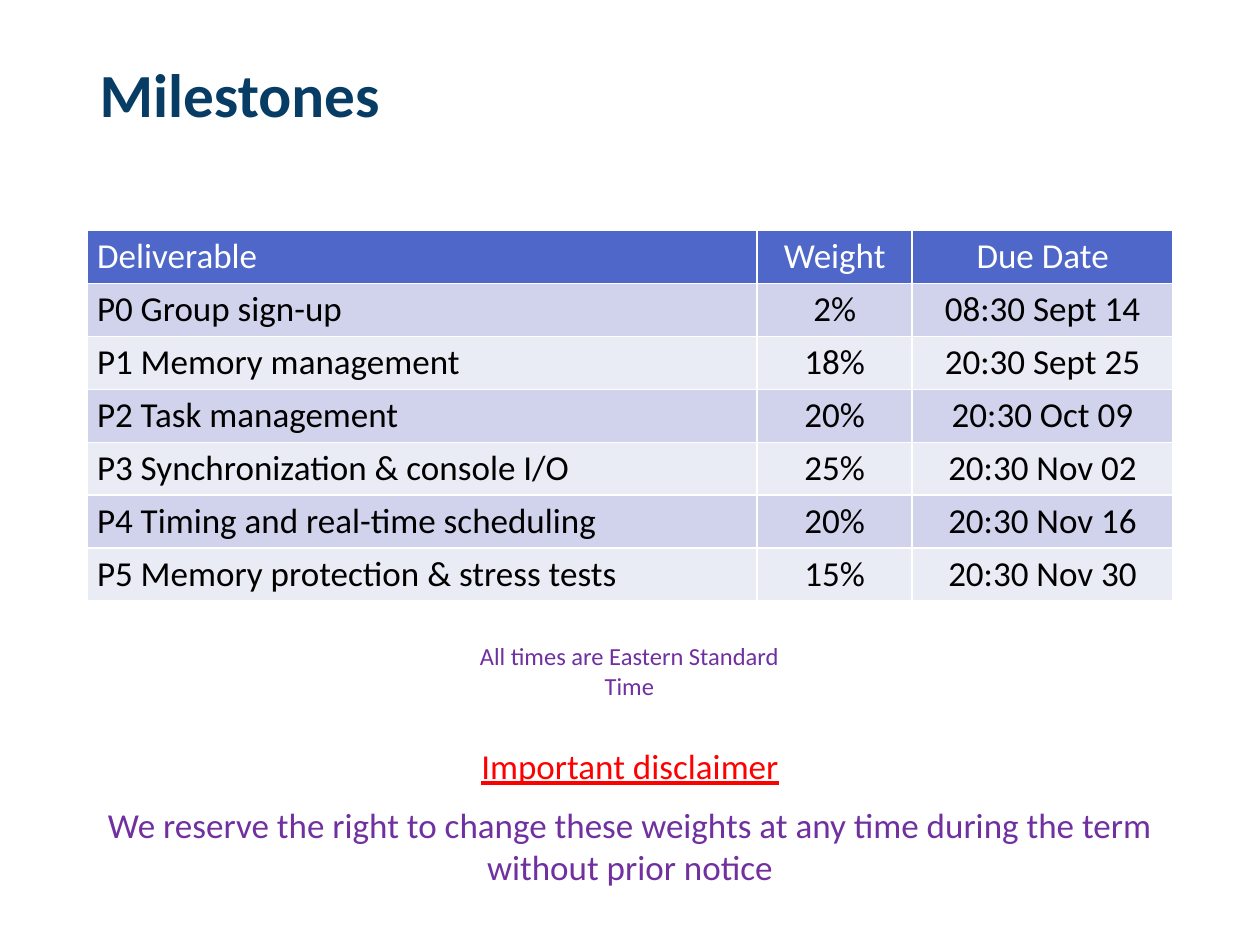
from typing import NamedTuple

from lxml.etree import SubElement as Sub
from pptx import Presentation as Deck
from pptx.dml.color import RGBColor as Rgb
from pptx.enum.text import MSO_ANCHOR as Anchor, MSO_AUTO_SIZE as Fit, PP_ALIGN as Align
from pptx.oxml.ns import qn
from pptx.util import Inches as Inch, Pt

WIDE, HIGH = 10, 7.5
EDGE = 0.069
SPAN = 1 - 2 * EDGE
COLS = (0.532, 0.123, 0.207)
ROW = 0.0558
INK, RED, PLUM, NAVY, WHITE = "000000", "FF0000", "7030A0", "073C65", "FFFFFF"
HEAD, BANDS = "4E67C8", ("D0D3EB", "E9EBF5")


class Area(NamedTuple):
    """A box given in shares of the slide's width and height."""
    left: float
    top: float
    width: float
    height: float

    def spot(self) -> tuple:
        """Return left, top, width and height as lengths."""
        return (Inch(self.left * WIDE), Inch(self.top * HIGH),
                Inch(self.width * WIDE), Inch(self.height * HIGH))


class Look(NamedTuple):
    """The look of one run of text."""
    size: float
    hue: str
    bold: bool = False
    line: bool = False


class Task(NamedTuple):
    """One row of the milestone table."""
    name: str
    weight: str
    due: str


TASKS = (
    Task("Deliverable", "Weight", "Due Date"),
    Task("P0 Group sign-up", "2%", "08:30 Sept 14"),
    Task("P1 Memory management", "18%", "20:30 Sept 25"),
    Task("P2 Task management", "20%", "20:30 Oct 09"),
    Task("P3 Synchronization & console I/O", "25%", "20:30 Nov 02"),
    Task("P4 Timing and real-time scheduling", "20%", "20:30 Nov 16"),
    Task("P5 Memory protection & stress tests", "15%", "20:30 Nov 30"),
)
TERMS = (
    ("Important disclaimer", Look(20, RED, line=True)),
    ("We reserve the right to change these weights at any time during the term "
     "without prior notice", Look(20, PLUM)),
)


def tint(code: str) -> Rgb:
    """Turn a hex string into a colour."""
    return Rgb.from_string(code)


def write(para, text: str, look: Look, align=Align.CENTER) -> None:
    """Add one run to a paragraph and align it."""
    para.alignment = align
    run = para.add_run()
    run.text = text
    font = run.font
    font.name, font.size = "Calibri", Pt(look.size)
    font.bold, font.underline = look.bold, look.line
    font.color.rgb = tint(look.hue)


def place(shape, area: Area) -> None:
    """Move a placeholder to an area."""
    shape.left, shape.top, shape.width, shape.height = area.spot()


def title(slide) -> None:
    """Fill the title placeholder."""
    shape = slide.shapes.title
    place(shape, Area(EDGE, 0.031, SPAN, 0.144))
    frame = shape.text_frame
    frame.auto_size, frame.vertical_anchor = Fit.NONE, Anchor.MIDDLE
    para = frame.paragraphs[0]
    para.line_spacing = 0.9
    write(para, "Milestones", Look(35, NAVY, bold=True), Align.LEFT)


def terms(slide) -> None:
    """Fill the body placeholder with the unbulleted disclaimer."""
    shape = slide.placeholders[1]
    place(shape, Area(EDGE, 0.781, SPAN, 0.188))
    frame = shape.text_frame
    frame.auto_size, frame.vertical_anchor = Fit.NONE, Anchor.TOP
    for i, (text, look) in enumerate(TERMS):
        para = frame.add_paragraph() if i else frame.paragraphs[0]
        para.space_before = Pt(10 if i else 0)
        props = para._p.get_or_add_pPr()
        props.set("marL", "0")
        props.set("indent", "0")
        Sub(props, qn("a:buNone"))
        write(para, text, look)


def grid(slide) -> None:
    """Draw the milestone table with a header and banded rows."""
    area = Area(EDGE, 0.244, SPAN, ROW * len(TASKS))
    table = slide.shapes.add_table(len(TASKS), len(COLS), *area.spot()).table
    for col, share in zip(table.columns, COLS):
        col.width = Inch(share * WIDE)
    for r, task in enumerate(TASKS):
        table.rows[r].height = Inch(ROW * HIGH)
        for c, text in enumerate(task):
            cell = table.cell(r, c)
            cell.margin_left = cell.margin_right = Inch(0.08)
            cell.margin_top = cell.margin_bottom = Inch(0.04)
            cell.fill.solid()
            cell.fill.fore_color.rgb = tint(BANDS[(r - 1) % 2] if r else HEAD)
            write(cell.text_frame.paragraphs[0], text, Look(20, INK if r else WHITE),
                  Align.CENTER if c else Align.LEFT)


def note(slide) -> None:
    """Add the time zone note below the table."""
    area = Area(0.352, 0.672, 0.295, 0.045)
    frame = slide.shapes.add_textbox(*area.spot()).text_frame
    frame.word_wrap, frame.auto_size = True, Fit.SHAPE_TO_FIT_TEXT
    write(frame.paragraphs[0], "All times are Eastern Standard Time", Look(14, PLUM))


def main() -> None:
    """Build and save the slide."""
    deck = Deck()
    deck.slide_width, deck.slide_height = Inch(WIDE), Inch(HIGH)
    slide = deck.slides.add_slide(deck.slide_layouts[1])
    for draw in (title, terms, grid, note):
        draw(slide)
    deck.save("out.pptx")


if __name__ == "__main__":
    main()
